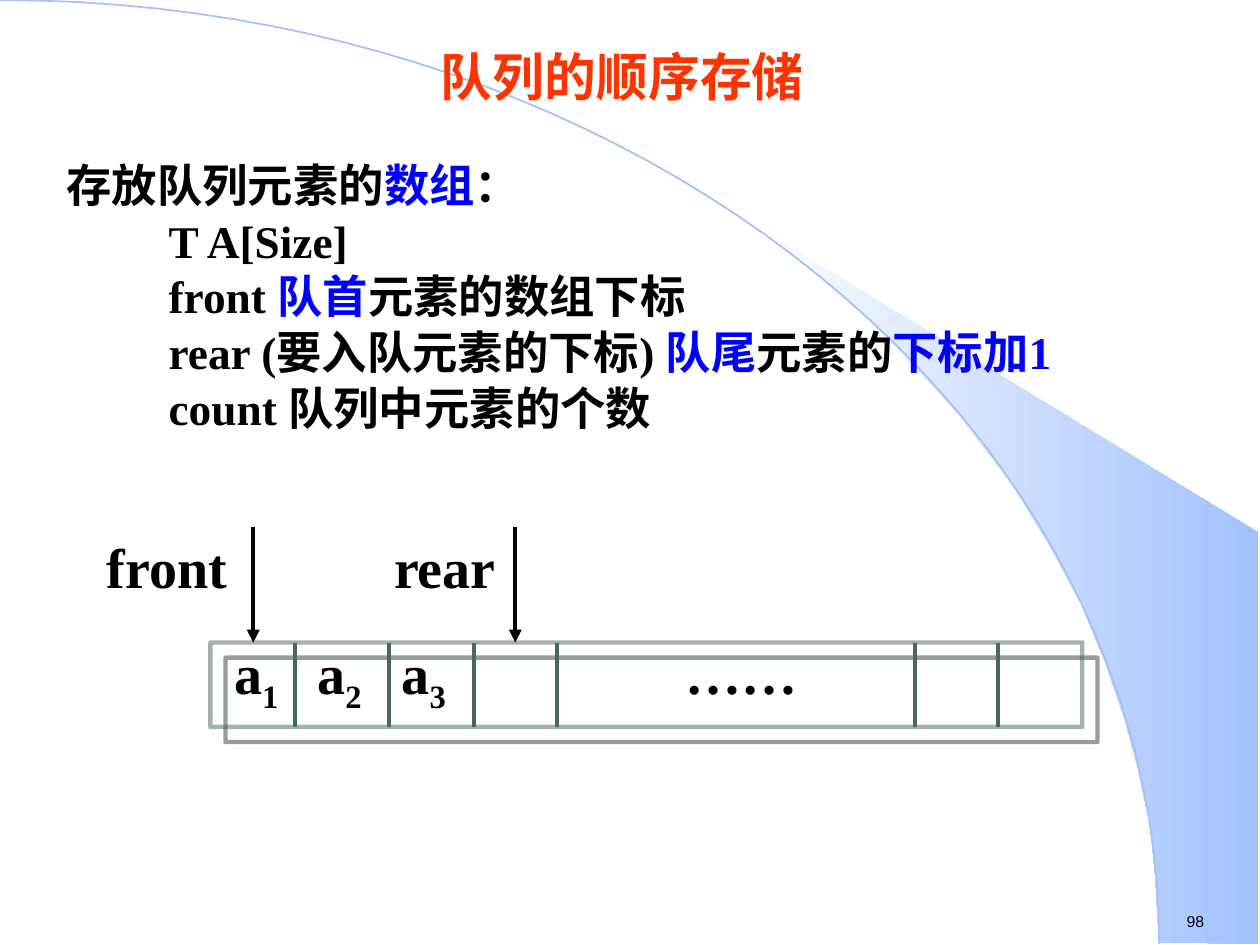
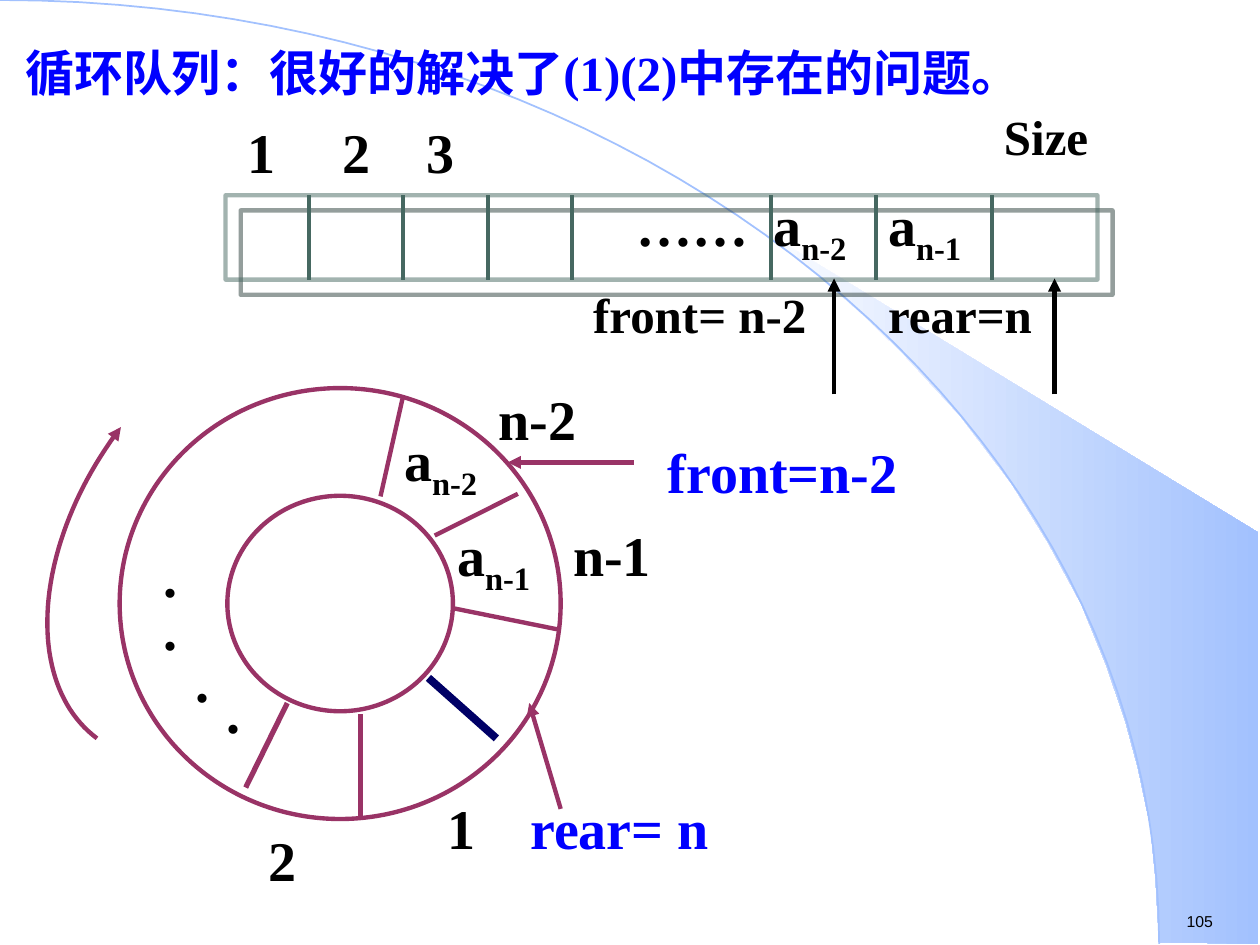
from dataclasses import dataclass

from lxml.etree import SubElement
from pptx import Presentation
from pptx.dml.color import RGBColor
from pptx.enum.shapes import MSO_CONNECTOR, MSO_SHAPE
from pptx.enum.text import MSO_ANCHOR, MSO_AUTO_SIZE, PP_ALIGN
from pptx.oxml.ns import qn
from pptx.util import Pt

PX = 9144  # EMU in one px, 100 px to the inch


@dataclass(frozen=True)
class Theme:
    black: RGBColor = RGBColor(0x00, 0x00, 0x00)
    blue: RGBColor = RGBColor(0x00, 0x00, 0xFF)
    red: RGBColor = RGBColor(0xFF, 0x33, 0x00)
    green: RGBColor = RGBColor(0x46, 0x68, 0x61)
    plum: RGBColor = RGBColor(0x99, 0x33, 0x66)
    navy: RGBColor = RGBColor(0x00, 0x00, 0x66)
    white: RGBColor = RGBColor(0xFF, 0xFF, 0xFF)
    sky: RGBColor = RGBColor(0xA2, 0xC1, 0xFE)
    shadow: str = "2A3E3A"
    font: str = "Times New Roman"
    number_font: str = "Arial"
    label: float = 32
    small_label: float = 28
    body: float = 25.9
    number: float = 9


T = Theme()


def add_text(s, x, y, w, text, size=T.label, color=T.black):
    """Add a one-line bold label; what follows "_" is set as a subscript."""
    sp = s.shapes.add_textbox(x * PX, y * PX, w * PX, (size * 2) * PX)
    tf = sp.text_frame
    tf.word_wrap = True
    for i, part in enumerate(text.split("_")):
        r = tf.paragraphs[0].add_run()
        r.text = part
        r.font.name, r.font.size, r.font.bold = T.font, Pt(size), True
        r.font.color.rgb = color
        if i:
            r.font._element.set("baseline", "-25000")
    return sp


def add_line(s, x1, y1, x2, y2, color, width=2.5, arrow=False):
    c = s.shapes.add_connector(MSO_CONNECTOR.STRAIGHT, x1 * PX, y1 * PX, x2 * PX, y2 * PX)
    c.line.color.rgb = color
    c.line.width = Pt(width)
    SubElement(c._element.spPr, qn("a:effectLst"))
    if arrow:
        SubElement(c.line._get_or_add_ln(), qn("a:tailEnd"), type="triangle")


prs = Presentation()
prs.slide_width, prs.slide_height = 1000 * PX, 750 * PX
layout = prs.slide_layouts[5]

# Slides with their titles and page numbers
titles = [
    ("队列的顺序存储", "98", (43, 28, 902, 64), 29.6, T.red, PP_ALIGN.CENTER),
    ("循环队列：很好的解决了(1)(2)中存在的问题。", "105", (10, 25, 828, 64), 28, T.blue, PP_ALIGN.LEFT),
]
slides = []
for title, number, box, size, color, align in titles:
    s = prs.slides.add_slide(layout)
    slides.append(s)
    sp = s.shapes.title
    sp.left, sp.top, sp.width, sp.height = [v * PX for v in box]
    tf = sp.text_frame
    tf.text = title
    tf.auto_size = MSO_AUTO_SIZE.NONE
    tf.word_wrap = False
    tf.vertical_anchor = MSO_ANCHOR.MIDDLE
    p = tf.paragraphs[0]
    p.alignment = align
    r = p.runs[0]
    r.font.name, r.font.size, r.font.bold = T.font, Pt(size), True
    r.font.color.rgb = color

    sp = s.shapes.add_textbox(932 * PX, 719 * PX, 77 * PX, 25 * PX)
    sp.text_frame.text = number
    sp.text_frame.word_wrap = False
    r = sp.text_frame.paragraphs[0].runs[0]
    r.font.name, r.font.size = T.number_font, Pt(T.number)
    r.font.color.rgb = T.black
queue, ring = slides

# Curved outlines, sampled from their Bezier control points
controls = {
    "horizon": [(0, 0), (508, 0), (920, 335), (920, 749)],
    "turn": [(77, 586), (18, 542), (26, 431), (96, 339)],
}
curves = {}
STEPS = 48
for name, (a, b, c, d) in controls.items():
    curves[name] = []
    for i in range(STEPS + 1):
        t = i / STEPS
        u = 1 - t
        curves[name].append([
            PX * (u**3 * a[k] + 3 * u * u * t * b[k] + 3 * u * t * t * c[k] + t**3 * d[k])
            for k in (0, 1)
        ])

# Shared background: shaded beam and horizon, kept on the layout
beam = [
    (920, 748), (999, 749), (999, 423), (589, 173), (624, 199), (653, 222),
    (685, 250), (716, 280), (762, 330), (803, 384), (832, 431), (858, 479),
    (878, 528), (893, 572), (903, 609), (913, 656), (917, 696),
]
outlines = [
    (queue, "beam", [(x * PX, y * PX) for x, y in beam]),
    (queue, "horizon", curves["horizon"]),
    (ring, "turn", curves["turn"]),
]
background = []
for s, name, points in outlines:
    builder = s.shapes.build_freeform(*points[0], scale=1)
    builder.add_line_segments(points[1:], close=name == "beam")
    sp = builder.convert_to_shape()
    sp.shadow.inherit = False
    if name == "beam":
        sp.fill.gradient()
        sp.fill.gradient_angle = 0
        for stop, color, position in zip(sp.fill.gradient_stops, (T.white, T.sky), (0, 1)):
            stop.color.rgb = color
            stop.position = position
        sp.line.fill.background()
    else:
        sp.fill.background()
        sp.line.color.rgb = T.sky if name == "horizon" else T.plum
        sp.line.width = Pt(1 if name == "horizon" else 2.5)
    if name == "turn":
        SubElement(sp.line._get_or_add_ln(), qn("a:tailEnd"), type="triangle")
    else:
        background.append(sp._element)
for i, element in enumerate(background):
    layout.shapes._spTree.insert(2 + i, element)

# Storage arrays: shadowed frame and cell dividers
arrays = [
    (queue, 167, 510, (234, 309, 376, 442, 726, 792)),
    (ring, 179, 155, (245, 320, 387, 454, 612, 695, 787)),
]
for s, left, top, dividers in arrays:
    sp = s.shapes.add_shape(MSO_SHAPE.RECTANGLE, left * PX, top * PX, 692 * PX, 67 * PX)
    sp.fill.background()
    sp.line.color.rgb = T.green
    sp.line.width = Pt(2.5)
    line_color = sp.line._get_or_add_ln().find(".//" + qn("a:srgbClr"))
    SubElement(line_color, qn("a:alpha"), val="50000")
    sp.shadow.inherit = False
    effects = sp._element.spPr.find(qn("a:effectLst"))
    shadow = SubElement(effects, qn("a:outerShdw"), dist=str(17 * PX), dir="2700000",
                        algn="ctr", rotWithShape="0")
    SubElement(shadow, qn("a:srgbClr"), val=T.shadow)
    for x in dividers:
        add_line(s, x, top, x, top + 67, T.green, 2.25)

# Slide 1: variables of the queue
variables = [
    [("存放队列元素的", T.black), ("数组", T.blue), ("：", T.black)],
    [("T A[Size]", T.black)],
    [("front ", T.black), ("队首", T.blue), ("元素的数组下标", T.black)],
    [("rear (要入队元素的下标) ", T.black), ("队尾", T.blue), ("元素的", T.black), ("下标加1", T.blue)],
    [("count 队列中元素的个数", T.black)],
]
sp = queue.shapes.add_textbox(43 * PX, 128 * PX, 902 * PX, 266 * PX)
tf = sp.text_frame
tf.word_wrap = True
for i, parts in enumerate(variables):
    p = tf.add_paragraph() if i else tf.paragraphs[0]
    p.line_spacing = 0.8
    if i:
        p.space_before = Pt(7)
        p._p.get_or_add_pPr().set("marL", str(81 * PX))
    for text, color in parts:
        r = p.add_run()
        r.text = text
        r.font.name, r.font.size, r.font.bold = T.font, Pt(T.body), True
        r.font.color.rgb = color

for x, y, w, text in [
    (534, 502, 125, "……"), (176, 502, 83, "a_1"), (242, 502, 83, "a_2"),
    (309, 502, 83, "a_3"), (75, 418, 118, "front"), (303, 418, 114, "rear"),
]:
    add_text(queue, x, y, w, text)
for x in (201, 409):
    add_line(queue, x, 418, x, 510, T.black, arrow=True)

# Slide 2: full array
for x, y, w, text in [
    (495, 146, 125, "……"), (604, 146, 100, "a_n-2"), (695, 146, 100, "a_n-1"),
    (187, 88, 50, "1"), (262, 88, 50, "2"), (329, 88, 50, "3"),
]:
    add_text(ring, x, y, w, text)
for x, y, w, text in [
    (461, 221, 193, "front= n-2"), (695, 221, 135, "rear=n"), (787, 80, 150, "Size"),
]:
    add_text(ring, x, y, w, text, T.small_label)
for x in (662, 837):
    add_line(ring, x, 313, x, 221, T.black, arrow=True)

# Slide 2: circular queue
sp = ring.shapes.add_shape(MSO_SHAPE.DONUT, 95 * PX, 308 * PX, 350 * PX, 342 * PX)
sp.adjustments[0] = 0.25
sp.fill.background()
sp.line.color.rgb = T.plum
sp.line.width = Pt(2.5)
sp.shadow.inherit = False

for x1, y1, x2, y2, color, width in [
    (361, 483, 445, 500, T.plum, 2.5), (345, 425, 411, 392, T.plum, 2.5),
    (340, 538, 394, 586, T.navy, 4.5), (286, 567, 286, 650, T.plum, 2.5),
    (320, 314, 302, 394, T.plum, 2.5), (228, 558, 195, 625, T.plum, 3),
]:
    add_line(ring, x1, y1, x2, y2, color, width)
for x1, y1, x2, y2 in [(445, 642, 420, 558), (503, 367, 403, 367)]:
    add_line(ring, x1, y1, x2, y2, T.plum, arrow=True)

for x, y, w, text, color in [
    (386, 300, 100, "n-2", T.black), (445, 408, 92, "n-1", T.black),
    (311, 333, 100, "a_n-2", T.black), (353, 408, 100, "a_n-1", T.black),
    (345, 625, 60, "1", T.black), (203, 650, 60, "2", T.black),
    (120, 425, 60, ".", T.black), (120, 467, 60, ".", T.black),
    (145, 508, 60, ".", T.black), (170, 533, 60, ".", T.black),
    (520, 342, 250, "front=n-2", T.blue), (411, 625, 204, "rear= n", T.blue),
]:
    add_text(ring, x, y, w, text, color=color)

prs.save("out.pptx")
